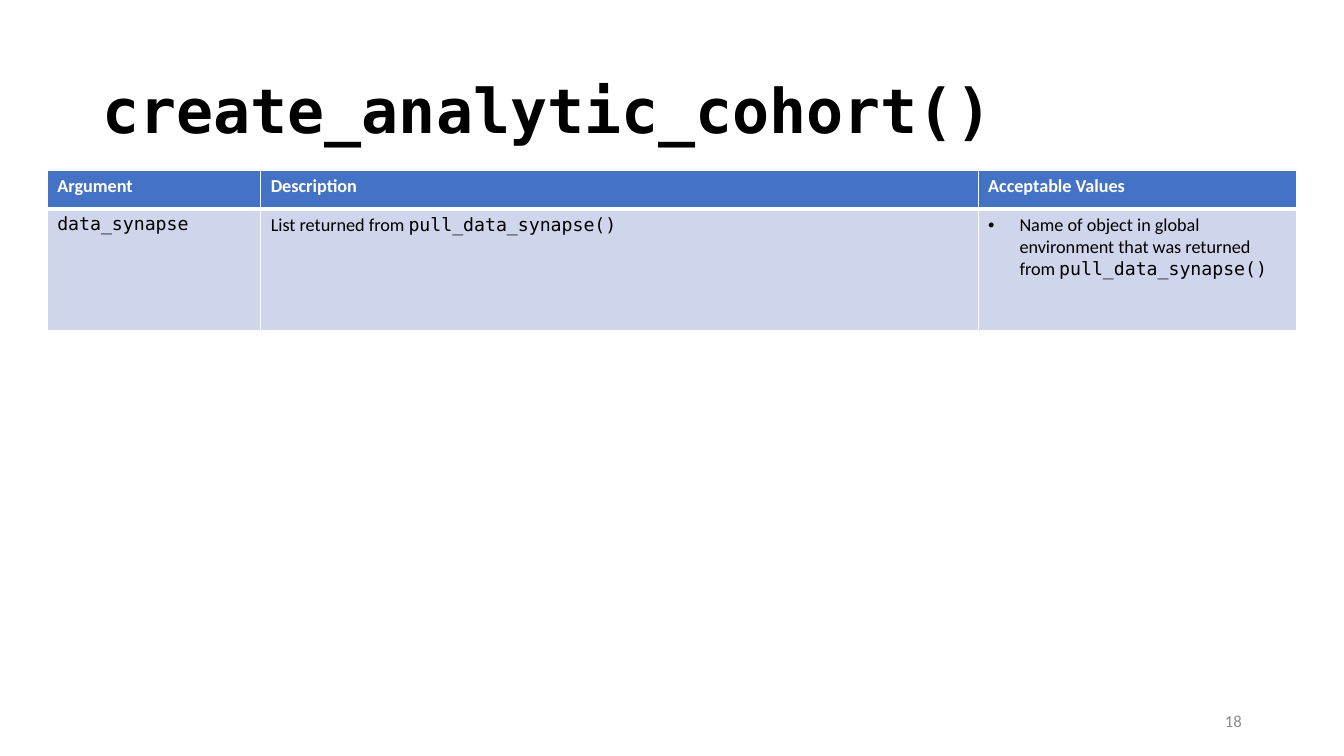
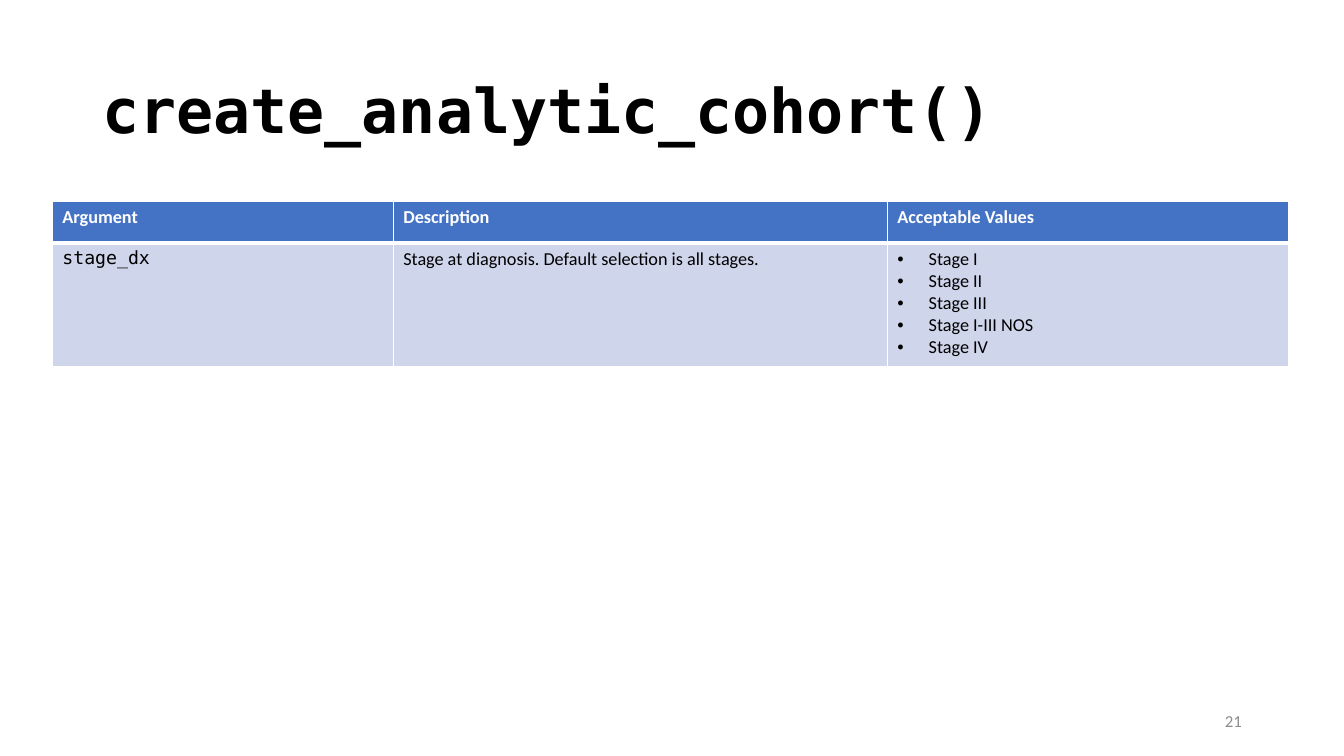
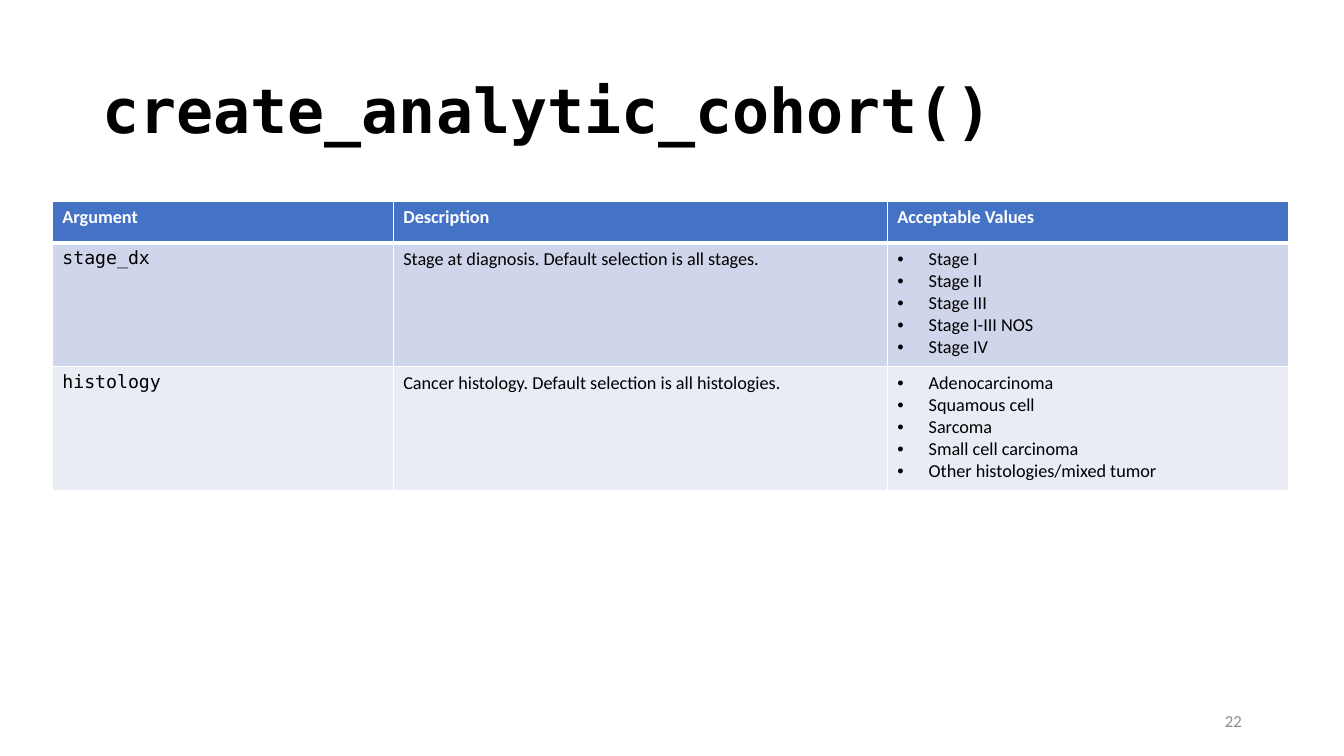
import pptx
import pptx.dml.color
import pptx.enum.text
import pptx.oxml.ns
import pptx.util
from lxml import etree

Cm, Pt = pptx.util.Cm, pptx.util.Pt
RGBColor = pptx.dml.color.RGBColor
PP_ALIGN = pptx.enum.text.PP_ALIGN
qn = pptx.oxml.ns.qn

BLACK = RGBColor(0x00, 0x00, 0x00)
WHITE = RGBColor(0xFF, 0xFF, 0xFF)
GREY = RGBColor(0x8C, 0x8C, 0x8C)
BLUE = RGBColor(0x44, 0x72, 0xC4)
BANDS = [RGBColor(0xCF, 0xD5, 0xEA), RGBColor(0xE9, 0xEB, 0xF5)]

SANS = "Calibri"
MONO = "DejaVu Sans Mono"
HEADINGS = ["Argument", "Description", "Acceptable Values"]
WIDE = dict(left=1.19, top=4.29, widths=[5.38, 18.08, 8.03], head=0.97, body=3.07)
EVEN = dict(left=1.32, top=5.08, widths=[8.59, 12.45, 10.11], head=1.04, body=3.12)

SYNAPSE = ["`data_synapse`", "List returned from `pull_data_synapse()`",
           ["Name of object in global environment that was returned from `pull_data_synapse()`"]]
STAGE = ["`stage_dx`", "Stage at diagnosis. Default selection is all stages.",
         ["Stage I", "Stage II", "Stage III", "Stage I-III NOS", "Stage IV"]]
HISTOLOGY = ["`histology`", "Cancer histology. Default selection is all histologies.",
             ["Adenocarcinoma", "Squamous cell", "Sarcoma", "Small cell carcinoma",
              "Other histologies/mixed tumor"]]


def write(p, text, size=13, color=BLACK, bold=False, align=PP_ALIGN.LEFT, spacing=None):
    """Fill a paragraph, setting the parts between backticks in the code font."""
    p.alignment = align
    p.line_spacing = spacing
    for i, part in enumerate(text.split("`")):
        if part:
            r = p.add_run()
            r.text = part
            r.font.name = MONO if i % 2 else SANS
            r.font.size = Pt(size)
            r.font.bold = bold
            r.font.color.rgb = color


class Deck:
    """Holds the presentation, its style and the current slide."""

    def __init__(self):
        self.prs = pptx.Presentation()
        self.prs.slide_width = Cm(33.87)
        self.prs.slide_height = Cm(19.05)
        self.s = None

    def slide(self, title, number):
        self.s = self.prs.slides.add_slide(self.prs.slide_layouts[6])
        self.text(2.33, 1.02, 29.21, 3.68, title, size=44, bold=True, spacing=0.9)
        self.text(23.93, 17.65, 7.62, 1.02, str(number), size=12, color=GREY,
                  align=PP_ALIGN.RIGHT)

    def text(self, left, top, width, height, text, **style):
        sp = self.s.shapes.add_textbox(Cm(left), Cm(top), Cm(width), Cm(height))
        tf = sp.text_frame
        tf.word_wrap = True
        tf.vertical_anchor = pptx.enum.text.MSO_ANCHOR.MIDDLE
        write(tf.paragraphs[0], text, **style)

    def bullet(self, p):
        pPr = p._p.get_or_add_pPr()
        pPr.set("marL", str(Cm(0.79)))
        pPr.set("indent", str(-Cm(0.79)))
        etree.SubElement(pPr, qn("a:buFont"), typeface="Arial")
        etree.SubElement(pPr, qn("a:buChar"), char="•")

    def cell(self, cell, content, fill, top=1, bottom=1, **style):
        tcPr = cell._tc.get_or_add_tcPr()
        for side, width in zip("LRTB", [1, 1, top, bottom]):
            ln = etree.SubElement(tcPr, qn("a:ln" + side), w=str(Pt(width)))
            paint = etree.SubElement(ln, qn("a:solidFill"))
            etree.SubElement(paint, qn("a:srgbClr"), val=str(WHITE))
        cell.fill.solid()
        cell.fill.fore_color.rgb = fill
        tf = cell.text_frame
        bulleted = isinstance(content, list)
        for i, line in enumerate(content if bulleted else [content]):
            p = tf.add_paragraph() if i else tf.paragraphs[0]
            write(p, line, **style)
            if bulleted:
                self.bullet(p)

    def table(self, rows, left, top, widths, head, body):
        heights = [head] + [body] * len(rows)
        frame = self.s.shapes.add_table(len(heights), len(widths), Cm(left), Cm(top),
                                        Cm(sum(widths)), Cm(sum(heights)))
        table = frame.table
        table.horz_banding = False
        for column, width in zip(table.columns, widths):
            column.width = Cm(width)
        for row, height in zip(table.rows, heights):
            row.height = Cm(height)
        for j, heading in enumerate(HEADINGS):
            self.cell(table.cell(0, j), heading, BLUE, bottom=3, color=WHITE, bold=True)
        for i, row in enumerate(rows):
            for j, content in enumerate(row):
                self.cell(table.cell(i + 1, j), content, BANDS[i % 2], top=1 if i else 3)


def main():
    deck = Deck()
    for number, rows, layout in [(18, [SYNAPSE], WIDE), (21, [STAGE], EVEN),
                                 (22, [STAGE, HISTOLOGY], EVEN)]:
        deck.slide("`create_analytic_cohort()`", number)
        deck.table(rows, **layout)
    deck.prs.save("out.pptx")


if __name__ == "__main__":
    main()
